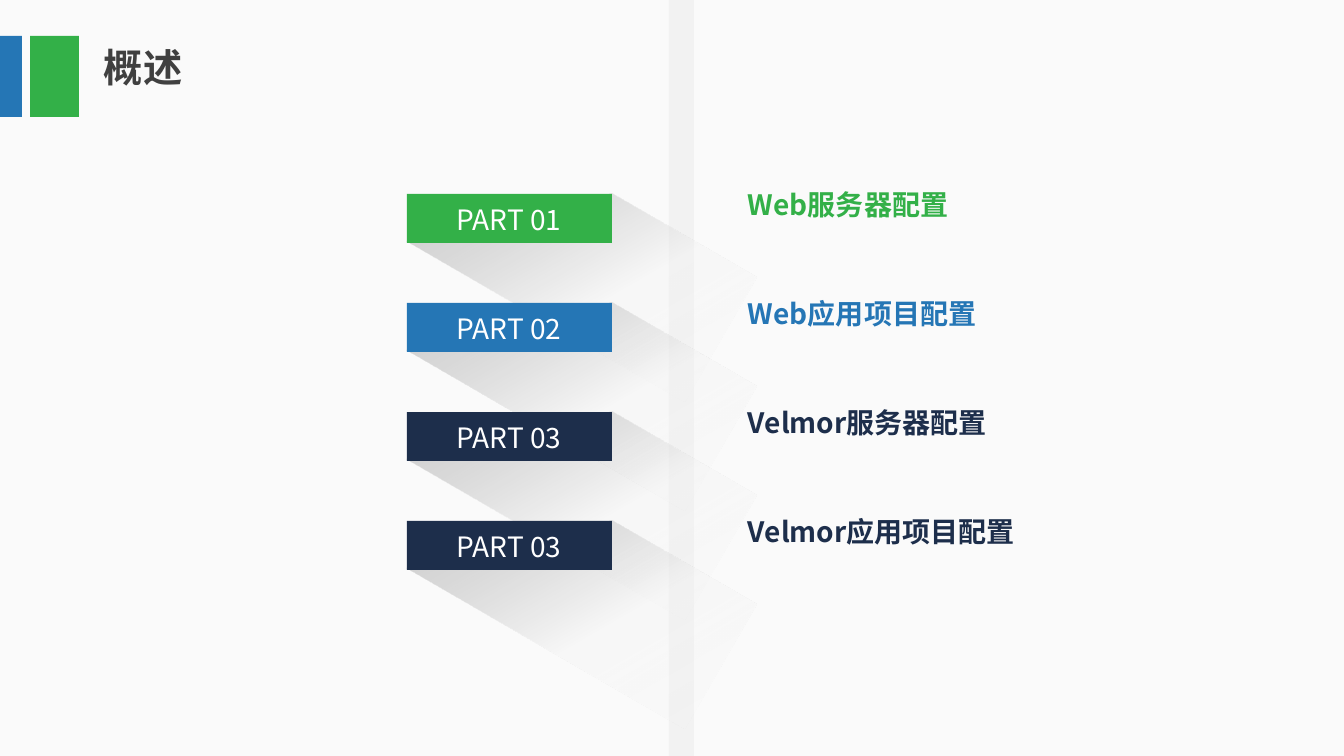
from dataclasses import dataclass

from lxml.etree import SubElement
from pptx import Presentation
from pptx.dml.color import RGBColor
from pptx.enum.shapes import MSO_SHAPE
from pptx.enum.text import MSO_AUTO_SIZE, PP_ALIGN
from pptx.oxml import parse_xml
from pptx.oxml.ns import nsdecls, qn
from pptx.util import Pt


@dataclass(frozen=True)
class Theme:
    font: str = "Noto Sans CJK SC"
    background: str = "FAFAFA"
    stripe: str = "F2F2F2"
    title: str = "404040"
    green: str = "33B048"
    blue: str = "2576B5"
    navy: str = "1D2E4B"
    white: str = "FFFFFF"
    title_size: int = 28
    text_size: int = 20
    shadow_stops: tuple = ((0, "000000", 20), (61, "F2F2F2", 34), (100, "F2F2F2", 0))


THEME = Theme()
SLIDE_W, SLIDE_H = 1344, 756
ROW_PITCH = 109
SHADOW_TILT = 30
SHADOW_ANGLE = 30
PARTS = (
    ("PART 01", "Web服务器配置", THEME.green),
    ("PART 02", "Web应用项目配置", THEME.blue),
    ("PART 03", "Velmor服务器配置", THEME.navy),
    ("PART 03", "Velmor应用项目配置", THEME.navy),
)


def px(n):
    return round(n * 12192000 / SLIDE_W)


def add_block(shapes, x, y, w, h, color):
    sp = shapes.add_shape(MSO_SHAPE.RECTANGLE, px(x), px(y), px(w), px(h))
    sp.shadow.inherit = False
    sp.fill.solid()
    sp.fill.fore_color.rgb = RGBColor.from_string(color)
    sp.line.fill.background()


def add_text(shapes, x, y, w, h, text, size, color, bold=True, align=PP_ALIGN.LEFT):
    tf = shapes.add_textbox(px(x), px(y), px(w), px(h)).text_frame
    tf.word_wrap = True
    tf.auto_size = MSO_AUTO_SIZE.SHAPE_TO_FIT_TEXT
    p = tf.paragraphs[0]
    p.alignment = align
    r = p.add_run()
    r.text = text
    r.font.name = THEME.font
    r.font.size = Pt(size)
    r.font.bold = bold
    r.font.color.rgb = RGBColor.from_string(color)
    SubElement(r.font._element, qn("a:ea")).set("typeface", THEME.font)


def add_long_shadow(shapes, x, y):
    w, h, slant = 321, 144, 154
    builder = shapes.build_freeform(px(x), px(y + h))
    corners = ((x + slant, y), (x + w, y), (x + w, y + h))
    builder.add_line_segments([(px(cx), px(cy)) for cx, cy in corners])
    sp = builder.convert_to_shape()
    sp.rotation = SHADOW_TILT
    sp.shadow.inherit = False
    sp.line.fill.background()
    stops = "".join(
        f'<a:gs pos="{pos * 1000}"><a:srgbClr val="{color}">'
        f'<a:alpha val="{alpha * 1000}"/></a:srgbClr></a:gs>'
        for pos, color, alpha in THEME.shadow_stops
    )
    gradient = parse_xml(
        f'<a:gradFill {nsdecls("a")} rotWithShape="1"><a:gsLst>{stops}</a:gsLst>'
        f'<a:lin ang="{SHADOW_ANGLE * 60000}" scaled="0"/></a:gradFill>'
    )
    sp._element.spPr.find(qn("a:custGeom")).addnext(gradient)


def add_banner(shapes, y, label, color):
    group = shapes.add_group_shape()
    add_block(group.shapes, 407, y, 205, 49, color)
    add_text(group.shapes, 439, y + 4, 140, 44, label, THEME.text_size,
             THEME.white, bold=False, align=PP_ALIGN.CENTER)


def main():
    prs = Presentation()
    prs.slide_width, prs.slide_height = px(SLIDE_W), px(SLIDE_H)
    s = prs.slides.add_slide(prs.slide_layouts[6])
    s.background.fill.solid()
    s.background.fill.fore_color.rgb = RGBColor.from_string(THEME.background)

    add_block(s.shapes, 669, 0, 25, SLIDE_H, THEME.stripe)
    for row in range(len(PARTS)):
        add_long_shadow(s.shapes, 421, 187 + row * ROW_PITCH)

    add_text(s.shapes, 94, 38, 363, 57, "概述", THEME.title_size, THEME.title)
    add_block(s.shapes, 30, 36, 49, 81, THEME.green)
    add_block(s.shapes, 0, 36, 22, 81, THEME.blue)

    for row, (label, topic, color) in enumerate(PARTS):
        y = 194 + row * ROW_PITCH
        add_text(s.shapes, 738, y - 11, 363, 44, topic, THEME.text_size, color)
        add_banner(s.shapes, y, label, color)

    prs.save("out.pptx")


if __name__ == "__main__":
    main()
